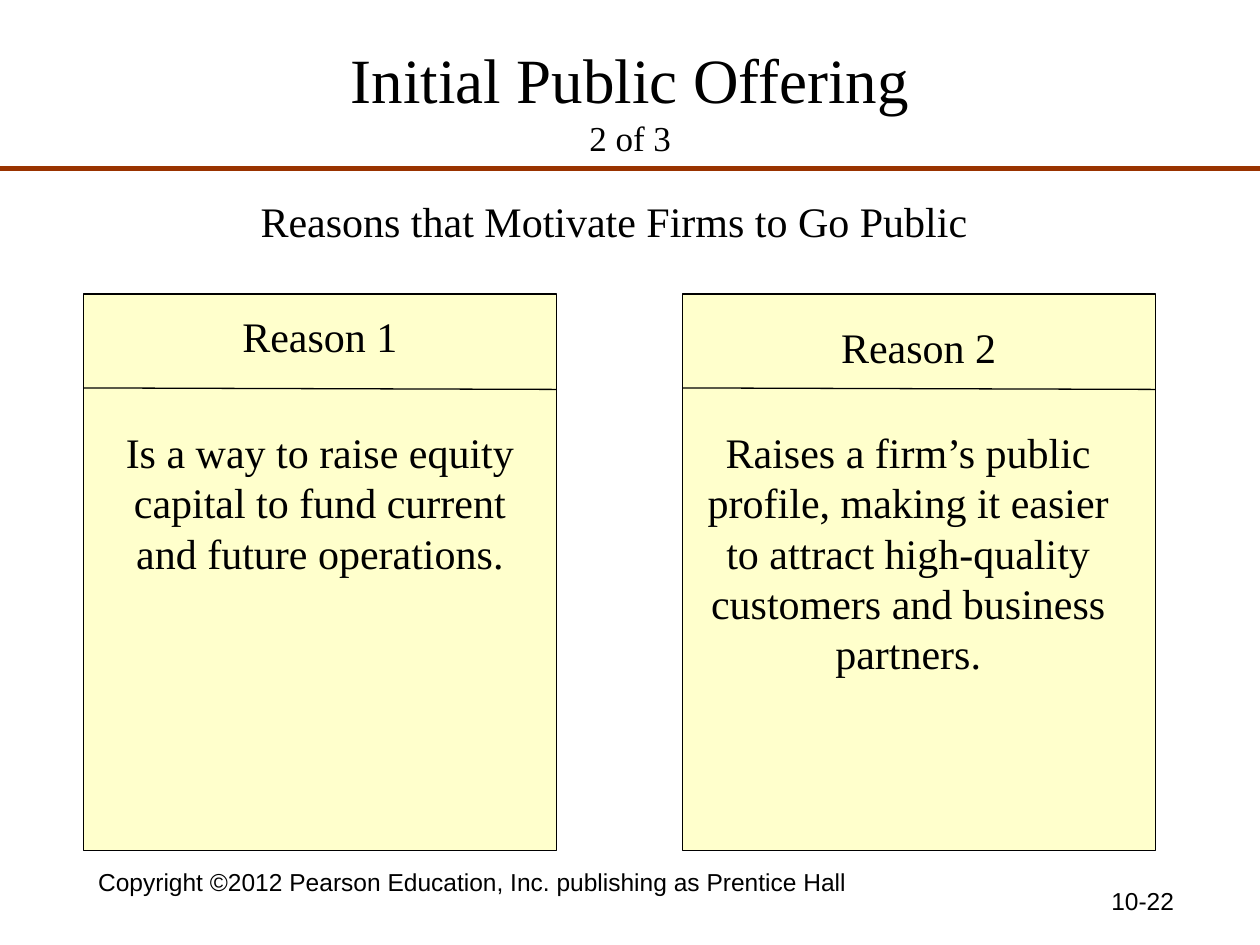
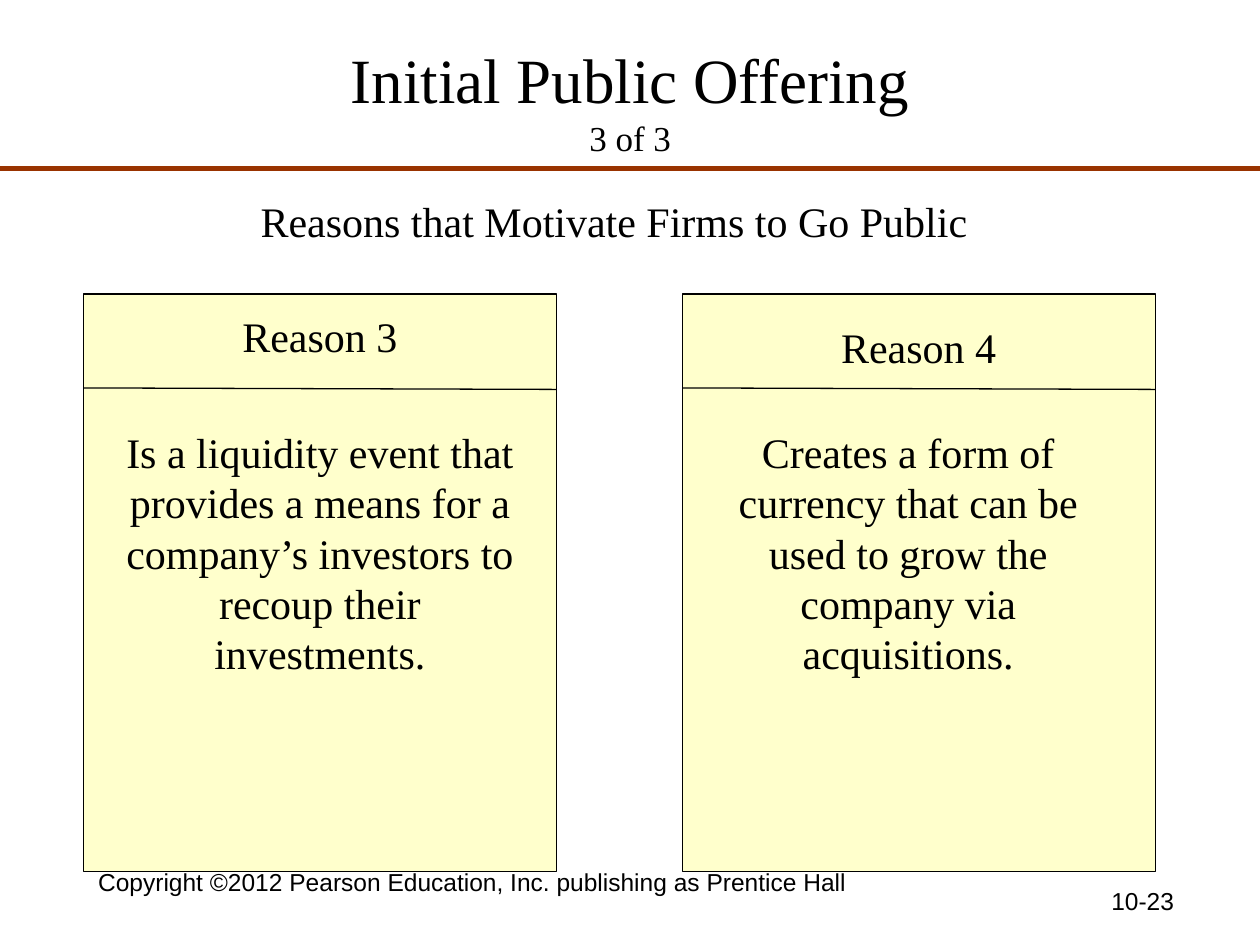
from lxml.etree import SubElement
from pptx import Presentation
from pptx.dml.color import RGBColor as Rgb
from pptx.enum.shapes import MSO_CONNECTOR as Link, MSO_SHAPE as Form
from pptx.enum.text import MSO_ANCHOR as Anchor, PP_ALIGN as Align
from pptx.oxml.ns import qn
from pptx.util import Cm, Pt

HUES = {"ink": "000000", "rule": "993300", "card": "FFFFCC"}
SERIF, SANS = "Times New Roman", "Arial"
WIDE, HIGH = 25.4, 19.05
NOTICE = "Copyright ©2012 Pearson Education, Inc. publishing as Prentice Hall"


class Deck:
    def __init__(self):
        self.show = Presentation()
        self.show.slide_width, self.show.slide_height = Cm(WIDE), Cm(HIGH)
        self.slide = None

    def hue(self, name):
        return Rgb.from_string(HUES[name])

    def text(self, x, y, w, h, words, size=24, face=SERIF, align=Align.CENTER):
        box = self.slide.shapes.add_textbox(Cm(x), Cm(y), Cm(w), Cm(h))
        frame = box.text_frame
        frame.word_wrap = True
        para = frame.paragraphs[0]
        para.text = words
        para.alignment = align
        para.font.name = face
        para.font.size = Pt(size)
        para.font.color.rgb = self.hue("ink")
        return frame

    def line(self, x1, y1, x2, y2, hue="ink", width=0.75):
        rule = self.slide.shapes.add_connector(
            Link.STRAIGHT, Cm(x1), Cm(y1), Cm(x2), Cm(y2))
        rule.line.color.rgb = self.hue(hue)
        rule.line.width = Pt(width)
        SubElement(rule.element.spPr, qn("a:effectLst"))

    def rect(self, x, y, w, h):
        card = self.slide.shapes.add_shape(
            Form.RECTANGLE, Cm(x), Cm(y), Cm(w), Cm(h))
        card.shadow.inherit = False
        card.fill.solid()
        card.fill.fore_color.rgb = self.hue("card")
        card.line.color.rgb = self.hue("ink")
        card.line.width = Pt(0.75)

    def title(self, words, part):
        frame = self.text(0.85, 0.42, 23.71, 3.18, words, 36)
        frame.vertical_anchor = Anchor.MIDDLE
        para = frame.paragraphs[0]
        para.add_line_break()
        run = para.add_run()
        run.text = part
        run.font.size = Pt(20)

    def page(self, part, number):
        self.slide = self.show.slides.add_slide(self.show.slide_layouts[6])
        self.line(0, 3.39, WIDE, 3.39, "rule", 3)
        self.title("Initial Public Offering", f"{part} of 3")
        self.text(4.02, 3.81, 16.72, 1.27,
                  "Reasons that Motivate Firms to Go Public")

    def card(self, col, height, head, body):
        x, y, w, pad = 1.69 + 12.07 * col, 5.93, 9.53, 0.21
        self.rect(x, y, w, height)
        self.line(x, 7.82, x + w, 7.85)
        self.text(x + pad, y + pad * (1 + col), 9.1, 1.27, head)
        self.text(x + pad * (2 - col), 8.47, 8.68, 5.33, body)

    def footer(self, number):
        self.text(1.27, 17.36, 16.51, 1.32, NOTICE, 14, SANS)
        self.text(17.99, 17.74, 5.93, 1.32, f"10-{number}", 14, SANS, Align.RIGHT)


PAGES = [
    (2, 22, 11.22, [
        "Is a way to raise equity capital to fund current and future operations.",
        "Raises a firm’s public profile, making it easier to attract "
        "high-quality customers and business partners."]),
    (3, 23, 11.64, [
        "Is a liquidity event that provides a means for a company’s "
        "investors to recoup their investments.",
        "Creates a form of currency that can be used to grow the company "
        "via acquisitions."]),
]


def main():
    deck = Deck()
    count = 0
    for part, number, height, bodies in PAGES:
        deck.page(part, number)
        for col, body in enumerate(bodies):
            count += 1
            deck.card(col, height, f"Reason {count}", body)
        deck.footer(number)
    deck.show.save("out.pptx")


if __name__ == "__main__":
    main()
